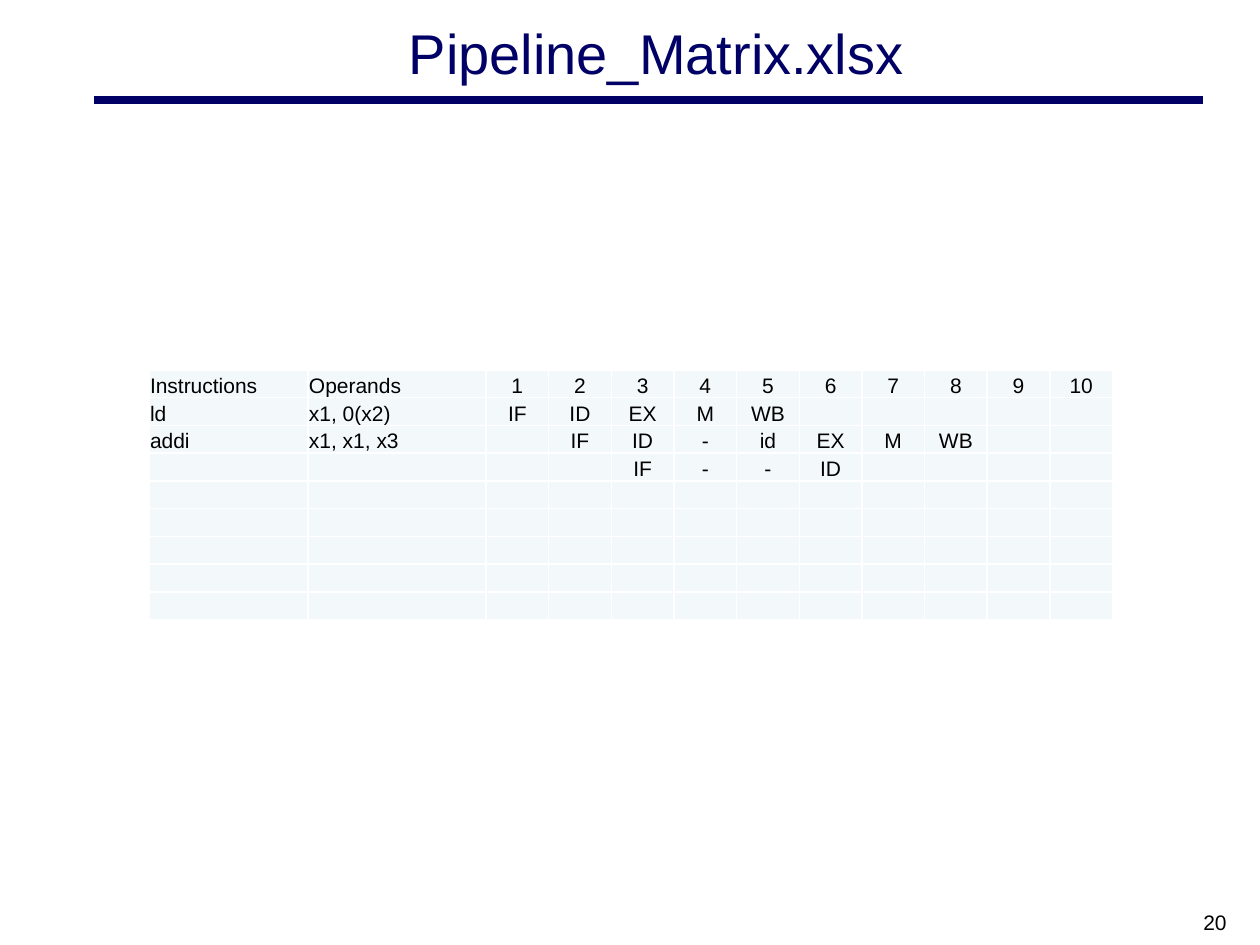
"""Build the pipeline matrix slide."""
from dataclasses import dataclass

from lxml import etree
from pptx import Presentation, util as u
from pptx.dml.color import RGBColor
from pptx.enum import shapes, text
from pptx.oxml.ns import qn

EMU_PER_PX = 914400 / 126
COLORS = {"navy": "000066", "ink": "000000", "cell": "F3F9FA", "grid": "FFFFFF"}
FONT = "Arial"
BODY_SIZE = 12


@dataclass(frozen=True)
class Box:
    left: int
    top: int
    width: int
    height: int


@dataclass(frozen=True)
class Step:
    instruction: str
    operands: str
    start: int
    stages: tuple

    def values(self, cycles: int) -> list:
        timeline = [""] * (self.start - 1) + list(self.stages)
        return [self.instruction, self.operands] + timeline + [""] * (cycles - len(timeline))


CYCLES = 10
ROW_COUNT = 9
LABEL_WIDTHS = (159, 178)
MATRIX_BOX = Box(149, 370, 964, 250)
STEPS = [
    Step("Instructions", "Operands", 1, tuple(str(n) for n in range(1, CYCLES + 1))),
    Step("ld", "x1, 0(x2)", 1, ("IF", "ID", "EX", "M", "WB")),
    Step("addi", "x1, x1, x3", 2, ("IF", "ID", "-", "id", "EX", "M", "WB")),
    Step("", "", 3, ("IF", "-", "-", "ID")),
]


def px(value: float) -> int:
    return round(value * EMU_PER_PX)


def place(box: Box) -> tuple:
    return px(box.left), px(box.top), px(box.width), px(box.height)


def write(frame, words: str, *, size=BODY_SIZE, color="ink", align=text.PP_ALIGN.LEFT) -> None:
    paragraph = frame.paragraphs[0]
    paragraph.alignment = align
    if not words:
        etree.SubElement(paragraph._p, qn("a:endParaRPr"), sz=str(size * 100))
        return
    run = paragraph.add_run()
    run.text = words
    run.font.name = FONT
    run.font.size = u.Pt(size)
    run.font.bold = False
    run.font.color.rgb = RGBColor.from_string(COLORS[color])


def add_title(slide, words: str, box: Box) -> None:
    title = slide.shapes.title
    title.left, title.top, title.width, title.height = place(box)
    title.text_frame.vertical_anchor = text.MSO_ANCHOR.MIDDLE
    write(title.text_frame, words, size=32, color="navy", align=text.PP_ALIGN.CENTER)


def add_rule(slide, left: int, right: int, y: int) -> None:
    rule = slide.shapes.add_connector(
        shapes.MSO_CONNECTOR.STRAIGHT, px(left), px(y), px(right), px(y))
    rule.line.color.rgb = RGBColor.from_string(COLORS["navy"])
    rule.line.width = u.Pt(4.5)
    etree.SubElement(rule._element.spPr, qn("a:effectLst"))


def format_cell(cell) -> None:
    cell.margin_left = cell.margin_right = cell.margin_top = px(1)
    cell.margin_bottom = 0
    cell.vertical_anchor = text.MSO_ANCHOR.BOTTOM
    properties = cell._tc.get_or_add_tcPr()
    for side in ("lnL", "lnR", "lnT", "lnB"):
        border = etree.SubElement(properties, qn(f"a:{side}"), w=str(u.Pt(1)))
        fill = etree.SubElement(border, qn("a:solidFill"))
        etree.SubElement(fill, qn("a:srgbClr"), val=COLORS["grid"])
    cell.fill.solid()
    cell.fill.fore_color.rgb = RGBColor.from_string(COLORS["cell"])


def add_matrix(slide, steps: list, box: Box) -> None:
    labels = len(LABEL_WIDTHS)
    matrix = slide.shapes.add_table(ROW_COUNT, labels + CYCLES, *place(box)).table
    matrix.first_row = matrix.horz_banding = False
    cycle_width = (box.width - sum(LABEL_WIDTHS)) / CYCLES
    widths = LABEL_WIDTHS + (cycle_width,) * CYCLES
    for column, width in zip(matrix.columns, widths):
        column.width = px(width)
    blanks = [Step("", "", 1, ())] * (ROW_COUNT - len(steps))
    for row, step in zip(matrix.rows, steps + blanks):
        row.height = px(box.height / ROW_COUNT)
        for index, (cell, words) in enumerate(zip(row.cells, step.values(CYCLES))):
            format_cell(cell)
            align = text.PP_ALIGN.LEFT if index < labels else text.PP_ALIGN.CENTER
            write(cell.text_frame, words, align=align)


def add_page_number(slide, words: str, box: Box) -> None:
    number = slide.shapes.add_textbox(*place(box))
    number.text_frame.word_wrap = True
    write(number.text_frame, words, align=text.PP_ALIGN.RIGHT)


def main() -> None:
    deck = Presentation()
    deck.slide_width, deck.slide_height = px(1260), px(945)
    slide = deck.slides.add_slide(deck.slide_layouts[5])
    add_rule(slide, 94, 1203, 100)
    add_title(slide, "Pipeline_Matrix.xlsx", Box(116, 10, 1081, 84))
    add_matrix(slide, STEPS, MATRIX_BOX)
    add_page_number(slide, "20", Box(945, 903, 294, 32))
    deck.save("out.pptx")


if __name__ == "__main__":
    main()
